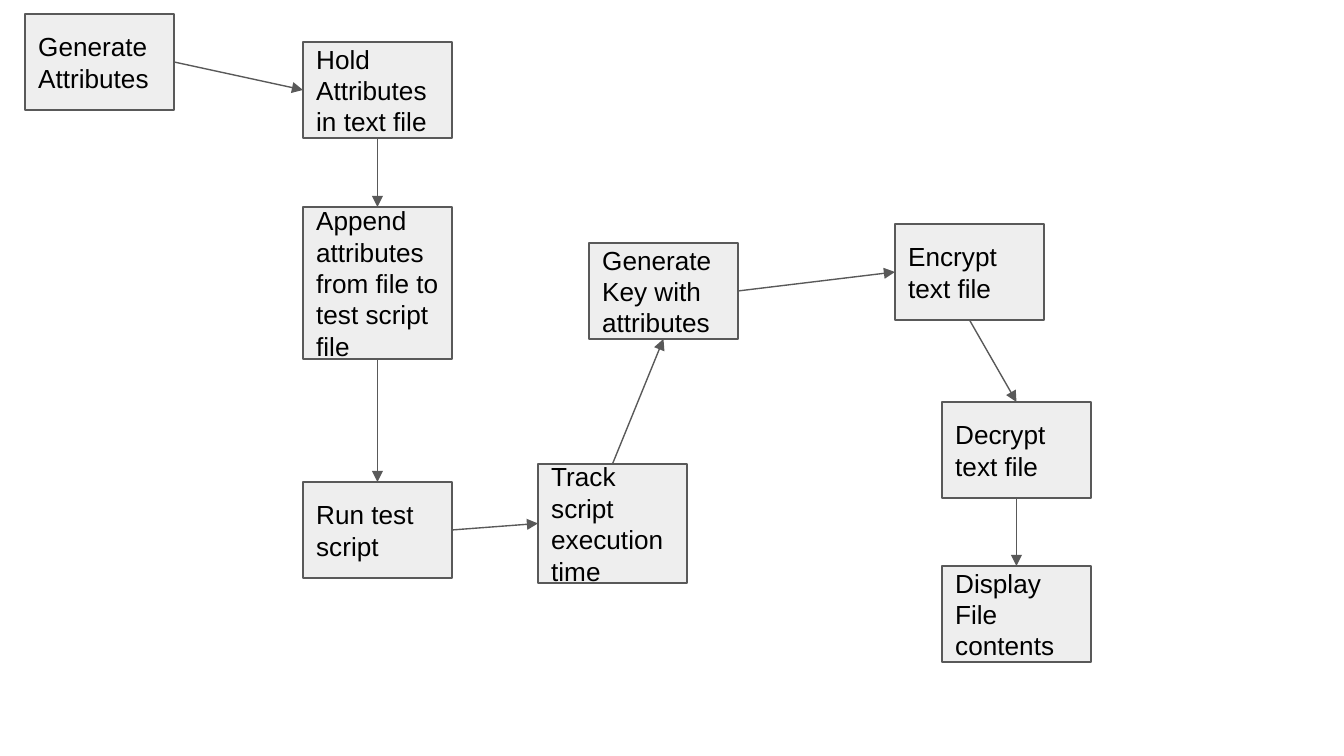
from lxml.etree import SubElement
from pptx import Presentation
from pptx.dml.color import RGBColor
from pptx.enum.shapes import MSO_CONNECTOR, MSO_SHAPE
from pptx.enum.text import MSO_ANCHOR, PP_ALIGN
from pptx.oxml.ns import qn
from pptx.util import Pt

EMU_PER_PX = 914400 / 134.4
COLORS = {"fill": "EEEEEE", "line": "595959", "text": "000000"}
STEP_WIDTH, STEP_HEIGHT = 149, 96
TOP, LEFT, BOTTOM, RIGHT = range(4)

# key: (text, left, top, height)
STEPS = {
    "generate": ("Generate Attributes", 25, 14, STEP_HEIGHT),
    "hold": ("Hold Attributes in text file", 303, 42, STEP_HEIGHT),
    "append": ("Append attributes from file to test script file", 303, 207, 152),
    "run": ("Run test script", 303, 482, STEP_HEIGHT),
    "key": ("Generate Key with attributes", 589, 243, STEP_HEIGHT),
    "encrypt": ("Encrypt text file", 895, 224, STEP_HEIGHT),
    "decrypt": ("Decrypt text file", 942, 402, STEP_HEIGHT),
    "display": ("Display File contents", 942, 566, STEP_HEIGHT),
    "track": ("Track script execution time", 538, 464, 119),
}
FLOWS = [
    ("generate", RIGHT, "hold", LEFT),
    ("hold", BOTTOM, "append", TOP),
    ("append", BOTTOM, "run", TOP),
    ("run", RIGHT, "track", LEFT),
    ("track", TOP, "key", BOTTOM),
    ("key", RIGHT, "encrypt", LEFT),
    ("encrypt", BOTTOM, "decrypt", TOP),
    ("decrypt", BOTTOM, "display", TOP),
]


def px(length):
    return round(length * EMU_PER_PX)


def color(name):
    return RGBColor.from_string(COLORS[name])


def apply(target, values):
    for attribute, value in values.items():
        setattr(target, attribute, value)


class FlowChart:
    """Holds the style and the slide that is being drawn."""

    font_format = {"name": "Arial", "size": Pt(14)}
    frame_format = {
        "word_wrap": True,
        "vertical_anchor": MSO_ANCHOR.MIDDLE,
        **{f"margin_{side}": px(13.44) for side in ("left", "top", "right", "bottom")},
    }

    def __init__(self, slide):
        self.slide = slide

    def outline(self, line):
        line.color.rgb = color("line")
        line.width = Pt(0.75)

    def step(self, text, left, top, height):
        box = self.slide.shapes.add_shape(
            MSO_SHAPE.FLOWCHART_PROCESS, px(left), px(top), px(STEP_WIDTH), px(height)
        )
        box.shadow.inherit = False
        box.fill.solid()
        box.fill.fore_color.rgb = color("fill")
        self.outline(box.line)
        apply(box.text_frame, self.frame_format)
        paragraph = box.text_frame.paragraphs[0]
        paragraph.alignment = PP_ALIGN.LEFT
        run = paragraph.add_run()
        run.text = text
        apply(run.font, self.font_format)
        run.font.color.rgb = color("text")
        return box

    def arrow(self, source, source_side, target, target_side):
        connector = self.slide.shapes.add_connector(MSO_CONNECTOR.STRAIGHT, 0, 0, 0, 0)
        connector.begin_connect(source, source_side)
        connector.end_connect(target, target_side)
        self.outline(connector.line)
        SubElement(connector.line._get_or_add_ln(), qn("a:tailEnd"), type="triangle")
        SubElement(connector._element.spPr, qn("a:effectLst"))


def main():
    presentation = Presentation()
    presentation.slide_width, presentation.slide_height = px(1344), px(756)
    blank_layout = presentation.slide_layouts[6]
    chart = FlowChart(presentation.slides.add_slide(blank_layout))
    boxes = {key: chart.step(*step) for key, step in STEPS.items()}
    for source, source_side, target, target_side in FLOWS:
        chart.arrow(boxes[source], source_side, boxes[target], target_side)
    presentation.save("out.pptx")


if __name__ == "__main__":
    main()
